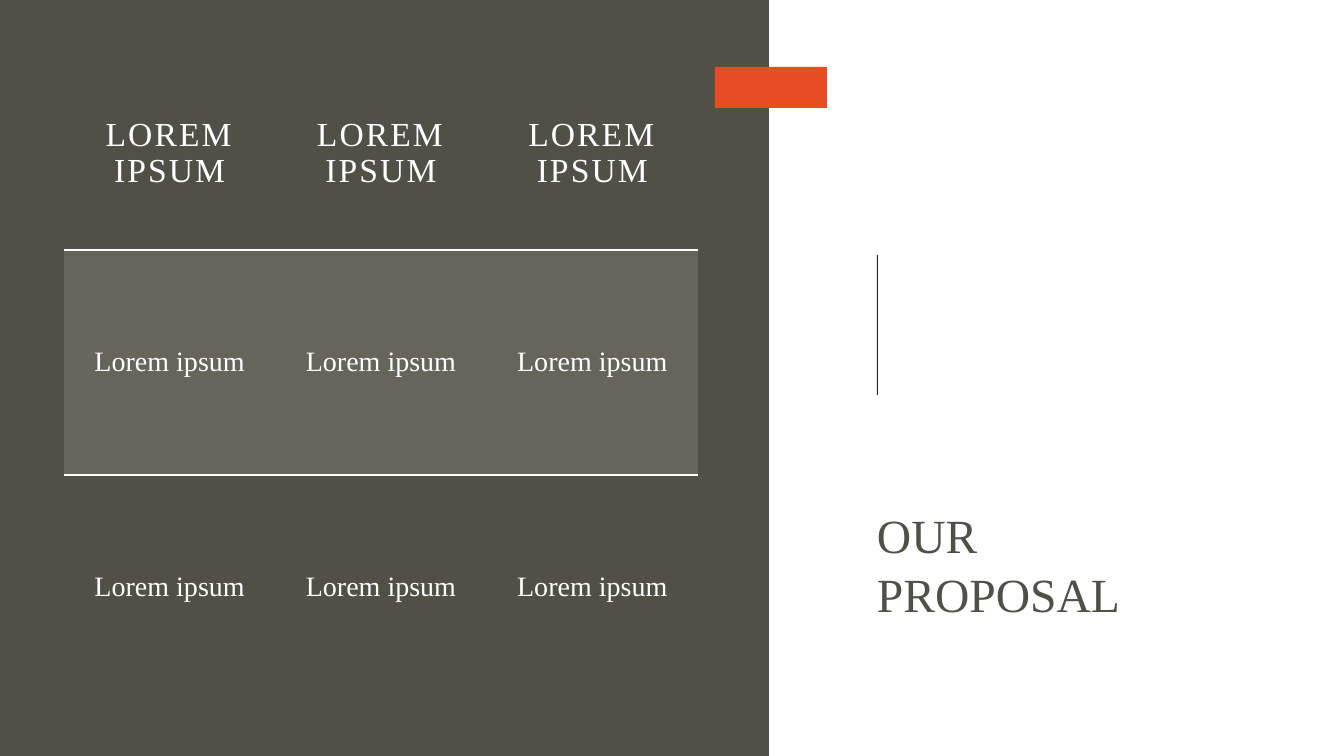
from lxml.etree import SubElement
from pptx import Presentation
from pptx.dml.color import RGBColor
from pptx.enum.shapes import MSO_SHAPE
from pptx.enum.text import MSO_ANCHOR as ANCHOR, PP_ALIGN as ALIGN
from pptx.oxml import parse_xml
from pptx.oxml.ns import nsdecls, qn
from pptx.util import Pt

EMU_PER_PX = 914400 / 100.8
FONT = "Times New Roman"
OLIVE, ORANGE, INK, WHITE, BAND = "505046", "E84C22", "24282B", "FFFFFF", "BCBCB2"
NO_STYLE = "{2D5ABB26-0587-4C30-8999-92F81FD0307C}"
ROWS = [["LOREM IPSUM"] * 3, ["Lorem ipsum"] * 3, ["Lorem ipsum"] * 3]
ROW_HEIGHTS = [193, 225, 225]


def px(length):
    """Turn pixels into EMU."""
    return round(length * EMU_PER_PX)


def color(hex_code):
    """Turn a hex string into a colour."""
    return RGBColor.from_string(hex_code)


def style_paragraph(paragraph, size, hex_code, align, spacing):
    """Set font, alignment and line spacing of a paragraph."""
    font = paragraph.font
    font.name, font.size, font.color.rgb = FONT, Pt(size), color(hex_code)
    paragraph.alignment, paragraph.line_spacing = align, spacing


def set_margins(target, margin):
    """Give a text frame or cell the same margin on every side."""
    target.margin_left = target.margin_right = px(margin)
    target.margin_top = target.margin_bottom = px(margin)


def add_block(slide, left, top, width, height, hex_code):
    """Draw a plain filled rectangle."""
    shape = slide.shapes.add_shape(
        MSO_SHAPE.RECTANGLE, px(left), px(top), px(width), px(height))
    shape.shadow.inherit = False
    shape.fill.solid()
    shape.fill.fore_color.rgb = color(hex_code)
    shape.line.fill.background()


def add_border(cell, side):
    """Draw a thin white border on one side of a cell."""
    border = parse_xml(
        f'<a:{side} {nsdecls("a")} w="{Pt(1)}"><a:solidFill>'
        f'<a:srgbClr val="{WHITE}"/></a:solidFill></a:{side}>')
    cell._tc.get_or_add_tcPr().insert(0, border)


def fill_band(cell):
    """Fill a cell with the translucent band colour."""
    cell.fill.solid()
    cell.fill.fore_color.rgb = color(BAND)
    tint = cell._tc.tcPr.find(".//" + qn("a:srgbClr"))
    SubElement(tint, qn("a:alpha")).set("val", "20000")


def fill_cell(cell, text, row):
    """Write and format one table cell according to its row."""
    is_header = row == 0
    cell.text = text
    cell.vertical_anchor = ANCHOR.MIDDLE
    set_margins(cell, 25)
    paragraph = cell.text_frame.paragraphs[0]
    style_paragraph(paragraph, 24 if is_header else 20, WHITE, ALIGN.CENTER, 0.96 if is_header else 1)
    if is_header:
        paragraph.runs[0]._r.get_or_add_rPr().set("spc", "150")
    if row == 1:
        fill_band(cell)
        add_border(cell, "lnT")
    else:
        cell.fill.background()
    if row < len(ROWS) - 1:
        add_border(cell, "lnB")


def add_proposal_table(slide, left, top, width):
    """Place the proposal table with equal columns."""
    frame = slide.shapes.add_table(
        len(ROWS), len(ROWS[0]), px(left), px(top), px(width), px(sum(ROW_HEIGHTS)))
    table = frame.table
    table.first_row = table.horz_banding = False
    table._tbl.tblPr.find(qn("a:tableStyleId")).text = NO_STYLE
    for column in table.columns:
        column.width = px(width / len(ROWS[0]))
    for row, (texts, height) in enumerate(zip(ROWS, ROW_HEIGHTS)):
        table.rows[row].height = px(height)
        for column, text in enumerate(texts):
            fill_cell(table.cell(row, column), text, row)


def add_title(slide, left, top, width, height):
    """Place the slide title at the bottom of its box."""
    title = slide.shapes.title
    title.left, title.top, title.width, title.height = map(px, (left, top, width, height))
    text_frame = title.text_frame
    text_frame.text = "OUR\vPROPOSAL"
    text_frame.word_wrap = True
    text_frame.vertical_anchor = ANCHOR.BOTTOM
    set_margins(text_frame, 0)
    style_paragraph(text_frame.paragraphs[0], 34, OLIVE, ALIGN.LEFT, 1.04)


def main():
    """Build and save the proposal slide."""
    presentation = Presentation()
    presentation.slide_width, presentation.slide_height = px(1344), px(756)
    slide = presentation.slides.add_slide(presentation.slide_layouts[5])
    add_block(slide, 0, 0, 769, 756, OLIVE)
    add_block(slide, 877, 255, 1, 140, INK)
    add_block(slide, 715, 67, 112, 41, ORANGE)
    add_title(slide, 877, 445, 403, 177)
    add_proposal_table(slide, 64, 57, 634)
    presentation.save("out.pptx")


if __name__ == "__main__":
    main()
